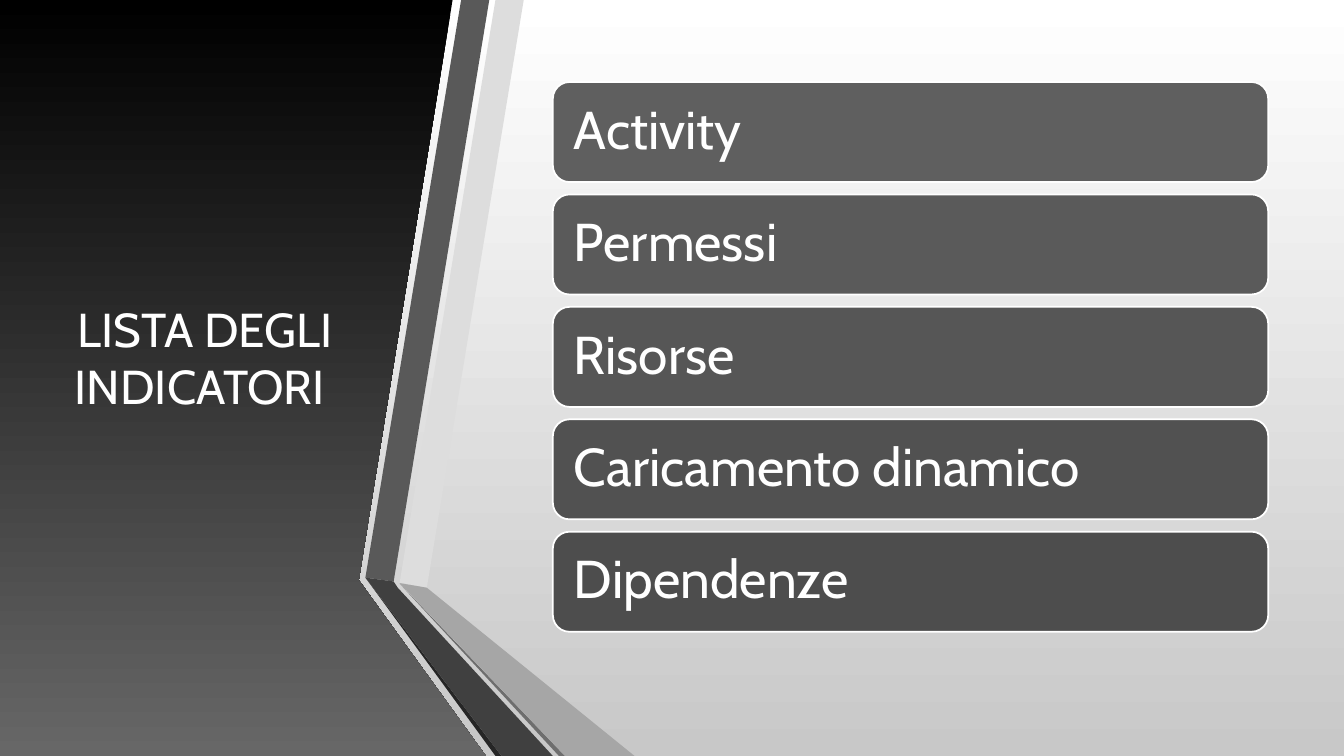
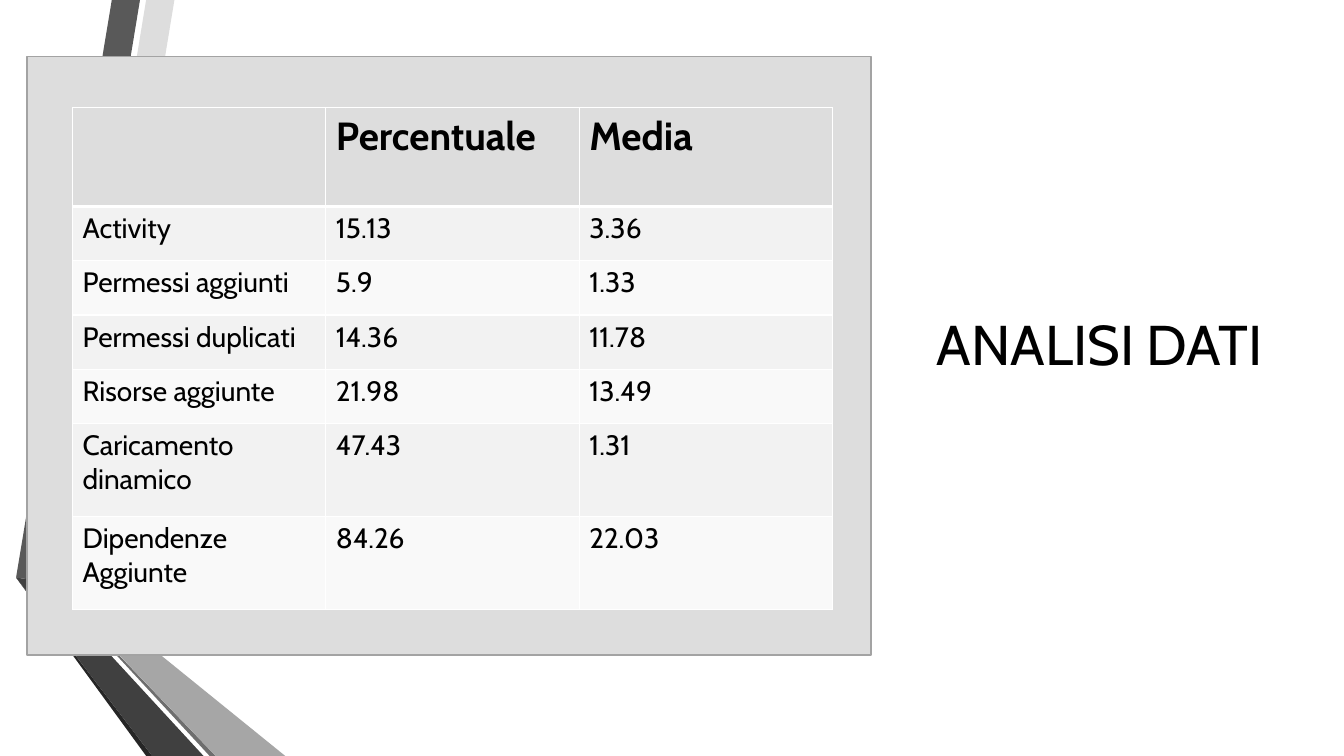
from lxml import etree
from pptx import Presentation
from pptx.dml.color import RGBColor
from pptx.enum.shapes import MSO_SHAPE
from pptx.enum.text import MSO_ANCHOR, MSO_AUTO_SIZE, PP_ALIGN
from pptx.oxml.ns import qn
from pptx.util import Pt

RECT = MSO_SHAPE.RECTANGLE
ROUND = MSO_SHAPE.ROUNDED_RECTANGLE
MIDDLE = MSO_ANCHOR.MIDDLE
FIXED = MSO_AUTO_SIZE.NONE
LEFT = PP_ALIGN.LEFT
CENTER = PP_ALIGN.CENTER

WIDE, HIGH = 960, 540
FONT = "Cabin"
WHITE, BLACK = "FFFFFF", "000000"
PALE, SILVER = "DDDDDD", "C8C8C8"

RIBBON = [
    (PALE, [(36, 416.2), (55.4, 419.8), (124.6, 0), (104.4, 0)]),
    ("595959", [(100, 0), (79.9, 0), (11.5, 412.6), (31.7, 415.4)]),
    ("262626", [(11.5, 412.6), (104.4, HIGH), (108.7, HIGH)]),
    ("6E6E6E", [(36, 416.9), (149.8, HIGH), (154.1, HIGH)]),
    ("A6A6A6", [(36, 416.5), (154.1, HIGH), (203.8, HIGH), (55.4, 419.8)]),
    ("404040", [(145.4, HIGH), (34.6, 419.8), (31.7, 415.4), (11.5, 412.6),
                (108.7, HIGH)]),
]
PANEL = [(0, 0), (323.3, 0), (256.3, 414.4), (347, HIGH), (0, HIGH)]

BARS = [
    ("Activity", "5F5F5F"),
    ("Permessi", "5A5A5A"),
    ("Risorse", "565656"),
    ("Caricamento dinamico", "515151"),
    ("Dipendenze", "4D4D4D"),
]
ROWS = [
    ("", "Percentuale", "Media"),
    ("Activity", "15.13", "3.36"),
    ("Permessi aggiunti", "5.9", "1.33"),
    ("Permessi duplicati", "14.36", "11.78"),
    ("Risorse aggiunte", "21.98", "13.49"),
    ("Caricamento dinamico", "47.43", "1.31"),
    ("Dipendenze Aggiunte", "84.26", "22.03"),
]
HEIGHTS = [70.7] + [38.8] * 4 + [66.4] * 2


def tint(code):
    return RGBColor.from_string(code)


def paint(fill, color):
    fill.solid()
    fill.fore_color.rgb = tint(color)


def blend(fill, top, bottom):
    fill.gradient()
    fill.gradient_angle = 270
    for stop, color, place in zip(fill.gradient_stops, (top, bottom), (0, 1)):
        stop.color.rgb = tint(color)
        stop.position = place


def edge(cell, side, width):
    line = etree.SubElement(cell._tc.get_or_add_tcPr(), qn("a:" + side),
                            w=str(Pt(width)))
    solid = etree.SubElement(line, qn("a:solidFill"))
    etree.SubElement(solid, qn("a:srgbClr"), val=WHITE)


class Deck:
    def __init__(self):
        self.file = Presentation()
        self.file.slide_width = Pt(WIDE)
        self.file.slide_height = Pt(HIGH)
        self.slide = None

    def page(self):
        self.slide = self.file.slides.add_slide(self.file.slide_layouts[5])
        return self.slide.background.fill

    def label(self, frame, text, size, color, align=LEFT, bold=False):
        frame.text = text
        for para in frame.paragraphs:
            para.alignment = align
            for run in para.runs:
                font = run.font
                font.name, font.size, font.bold = FONT, Pt(size), bold
                font.color.rgb = tint(color)

    def title(self, text, box, size, color):
        shape = self.slide.shapes.title
        shape.left, shape.top, shape.width, shape.height = map(Pt, box)
        frame = shape.text_frame
        self.label(frame, text, size, color, CENTER)
        frame.word_wrap = True
        frame.auto_size = FIXED
        frame.vertical_anchor = MIDDLE
        self.slide.shapes._spTree.append(shape._element)

    def outline(self, points, shift=0):
        spots = [(Pt(x + shift), Pt(y)) for x, y in points]
        maker = self.slide.shapes.build_freeform(*spots[0])
        maker.add_line_segments(spots[1:], close=True)
        shape = maker.convert_to_shape()
        shape.shadow.inherit = False
        shape.line.fill.background()
        return shape.fill

    def ribbon(self, shift=0):
        for color, points in RIBBON:
            paint(self.outline(points, shift), color)

    def block(self, kind, box, color, rim):
        shape = self.slide.shapes.add_shape(kind, *map(Pt, box))
        shape.shadow.inherit = False
        paint(shape.fill, color)
        shape.line.color.rgb = tint(rim)
        shape.line.width = Pt(1.25)
        return shape

    def bar(self, text, box, color):
        frame = self.block(ROUND, box, color, WHITE).text_frame
        self.label(frame, text, 38, WHITE)
        frame.paragraphs[0].line_spacing = 0.9
        frame.word_wrap = True
        frame.vertical_anchor = MIDDLE
        frame.margin_left = frame.margin_right = Pt(11.6)

    def table(self, rows, heights, left, top, width):
        count = len(rows[0])
        grid = self.slide.shapes.add_table(
            len(rows), count, Pt(left), Pt(top), Pt(width),
            Pt(sum(heights))).table
        for col in grid.columns:
            col.width = Pt(width / count)
        for r, (row, height) in enumerate(zip(rows, heights)):
            grid.rows[r].height = Pt(height)
            head = r == 0
            color = PALE if head else ("F9F9F9", "F2F2F2")[r % 2]
            for c, text in enumerate(row):
                cell = grid.cell(r, c)
                self.label(cell.text_frame, text, 28 if head else 20, BLACK,
                           bold=head)
                edge(cell, "lnL", 1)
                edge(cell, "lnR", 1)
                edge(cell, "lnT", 3 if r == 1 else 1)
                edge(cell, "lnB", 3 if head else 1)
                paint(cell.fill, color)


def main():
    deck = Deck()

    blend(deck.page(), WHITE, SILVER)
    blend(deck.outline(PANEL), BLACK, "676767")
    deck.title("LISTA DEGLI INDICATORI ", (42.5, 54, 208, 402), 34, WHITE)
    deck.ribbon(249.5)
    for i, (text, color) in enumerate(BARS):
        deck.bar(text, (394.9, 58.6 + 80.3 * i, 511, 71.5), color)

    paint(deck.page(), WHITE)
    deck.ribbon()
    deck.block(RECT, (19.4, 40.3, 602.6, 427.7), PALE, "A3A3A3")
    deck.title("ANALISI DATI", (635, 214.6, 301, 61.2), 40, BLACK)
    deck.table(ROWS, HEIGHTS, 51.8, 76.8, 543)

    deck.file.save("out.pptx")


if __name__ == "__main__":
    main()
